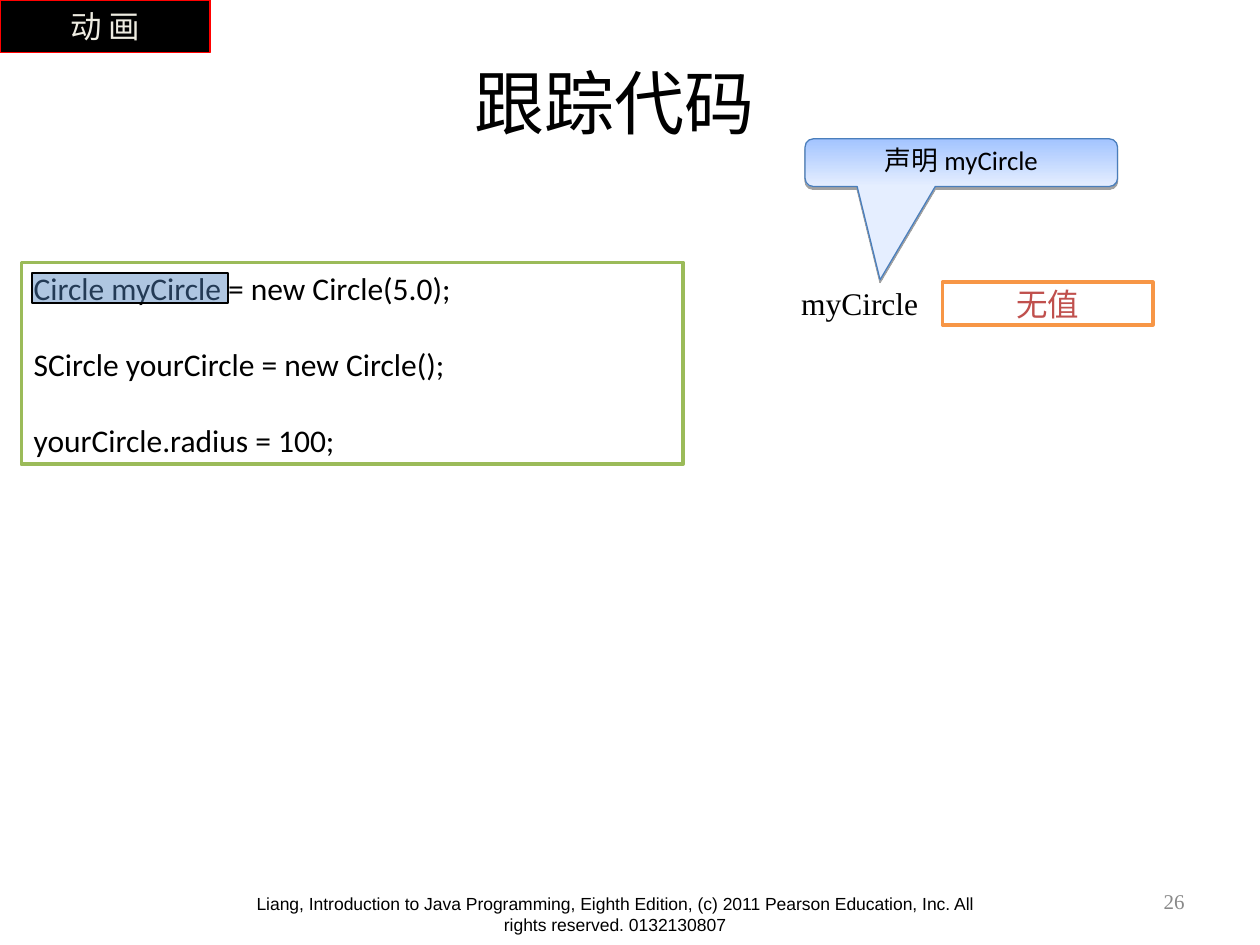
from lxml.etree import SubElement
from pptx import Presentation
from pptx.dml.color import RGBColor
from pptx.enum.shapes import MSO_SHAPE
from pptx.enum.text import MSO_ANCHOR, MSO_AUTO_SIZE, PP_ALIGN
from pptx.oxml.ns import qn
from pptx.util import Cm, Pt

BLACK = RGBColor(0x00, 0x00, 0x00)
WHITE = RGBColor(0xFF, 0xFF, 0xFF)
GREY = RGBColor(0x89, 0x89, 0x89)
RED = RGBColor(0xFF, 0x00, 0x00)
BRICK = RGBColor(0xC0, 0x50, 0x4D)
CREAM = RGBColor(0xEE, 0xEC, 0xE1)
GREEN = RGBColor(0x9B, 0xBB, 0x59)
ORANGE = RGBColor(0xF7, 0x96, 0x46)
BLUE = RGBColor(0x4F, 0x81, 0xBD)
EDGE_BLUE = RGBColor(0x4A, 0x7E, 0xBB)
SKY = RGBColor(0xA3, 0xC4, 0xFF)
PALE = RGBColor(0xE5, 0xEE, 0xFF)

TITLE = "跟踪代码"
CODE = [
    "Circle myCircle = new Circle(5.0);",
    "SCircle yourCircle = new Circle();",
    "yourCircle.radius = 100;",
]
CALLOUT = "声明 myCircle"
VARIABLE = "myCircle"
VALUE = "无值"
TAG = "动 画"
FOOTER = ("Liang, Introduction to Java Programming, Eighth Edition, (c) 2011 "
          "Pearson Education, Inc. All rights reserved. 0132130807")
PAGE_NUMBER = "26"


def write(shape, lines, size, font, color, align=PP_ALIGN.LEFT,
          anchor=MSO_ANCHOR.TOP, wrap=True, gap=0):
    frame = shape.text_frame
    frame.auto_size = MSO_AUTO_SIZE.NONE
    frame.word_wrap = wrap
    frame.vertical_anchor = anchor
    frame.text = "\n".join(lines)
    for index, para in enumerate(frame.paragraphs):
        para.alignment = align
        para.space_before = Pt(gap if index else 0)
        para.font.size = Pt(size)
        para.font.name = font
        para.font.color.rgb = color
    return frame


def add_label(page, place, *text, **layout):
    box = page.shapes.add_textbox(*map(Cm, place))
    return write(box, *text, **layout)


def add_box(page, place, fill, line, width, kind=MSO_SHAPE.RECTANGLE):
    shape = page.shapes.add_shape(kind, *map(Cm, place))
    shape.shadow.inherit = False
    if fill:
        shape.fill.solid()
        shape.fill.fore_color.rgb = fill
    shape.line.color.rgb = line
    shape.line.width = Pt(width)
    return shape


def set_opacity(shape, percent):
    color = shape.fill._xPr.find(qn("a:solidFill"))[0]
    SubElement(color, qn("a:alpha"), val=str(percent * 1000))


def add_drop_shadow(shape, distance, percent):
    effects = shape._element.spPr.find(qn("a:effectLst"))
    shadow = SubElement(effects, qn("a:outerShdw"), dist=str(Pt(distance)),
                        dir="5400000", rotWithShape="0")
    color = SubElement(shadow, qn("a:srgbClr"), val=str(BLACK))
    SubElement(color, qn("a:alpha"), val=str(percent * 1000))


def add_callout(page, place):
    callout = add_box(page, place, None, EDGE_BLUE, 0.75,
                      MSO_SHAPE.ROUNDED_RECTANGULAR_CALLOUT)
    for index, value in enumerate((-0.26, 2.46, 0.17)):
        callout.adjustments[index] = value
    callout.fill.gradient()
    callout.fill.gradient_angle = 270
    for stop, color in zip(callout.fill.gradient_stops, (SKY, PALE)):
        stop.color.rgb = color
    add_drop_shadow(callout, 1.6, 37)
    frame = write(callout, [CALLOUT], 15.3, "Calibri", BLACK, PP_ALIGN.CENTER)
    frame.paragraphs[0].line_spacing = 0.9


def main():
    deck = Presentation()
    deck.slide_width, deck.slide_height = Cm(25.4), Cm(19.05)
    page = deck.slides.add_slide(deck.slide_layouts[5])
    centred = {"align": PP_ALIGN.CENTER, "anchor": MSO_ANCHOR.MIDDLE}

    title = page.shapes.title
    title.left, title.top, title.width, title.height = map(
        Cm, (1.6, 1.19, 21.59, 1.7))
    write(title, [TITLE], 40, "Calibri", BLACK, **centred)

    add_label(page, (4.65, 17.88, 15.49, 1.17), [FOOTER], 10, "Arial", BLACK,
              align=PP_ALIGN.CENTER)
    add_label(page, (18.21, 17.65, 5.92, 1.02), [PAGE_NUMBER], 12,
              "Times New Roman", GREY, align=PP_ALIGN.RIGHT,
              anchor=MSO_ANCHOR.MIDDLE)

    code = add_box(page, (0.43, 5.29, 13.34, 4.07), WHITE, GREEN, 2)
    write(code, CODE, 18, "Calibri", BLACK, gap=22)
    highlight = add_box(page, (0.64, 5.51, 3.96, 0.6), BLUE, BLACK, 1)
    set_opacity(highlight, 45)

    add_callout(page, (16.23, 2.8, 6.3, 0.96))

    value = add_box(page, (19, 5.69, 4.24, 0.86), WHITE, ORANGE, 2)
    frame = write(value, [VALUE], 18, "Calibri", BRICK, wrap=False, **centred)
    frame.margin_left = frame.margin_right = Cm(0.03)
    frame.margin_top = frame.margin_bottom = Cm(0.03)
    add_label(page, (15.9, 5.61, 3.15, 1.02), [VARIABLE], 18,
              "Times New Roman", BLACK)

    tag = add_box(page, (0, 0, 4.24, 1.06), BLACK, RED, 1)
    write(tag, [TAG], 18, "Arial", CREAM, wrap=False, **centred)

    deck.save("out.pptx")


if __name__ == "__main__":
    main()
